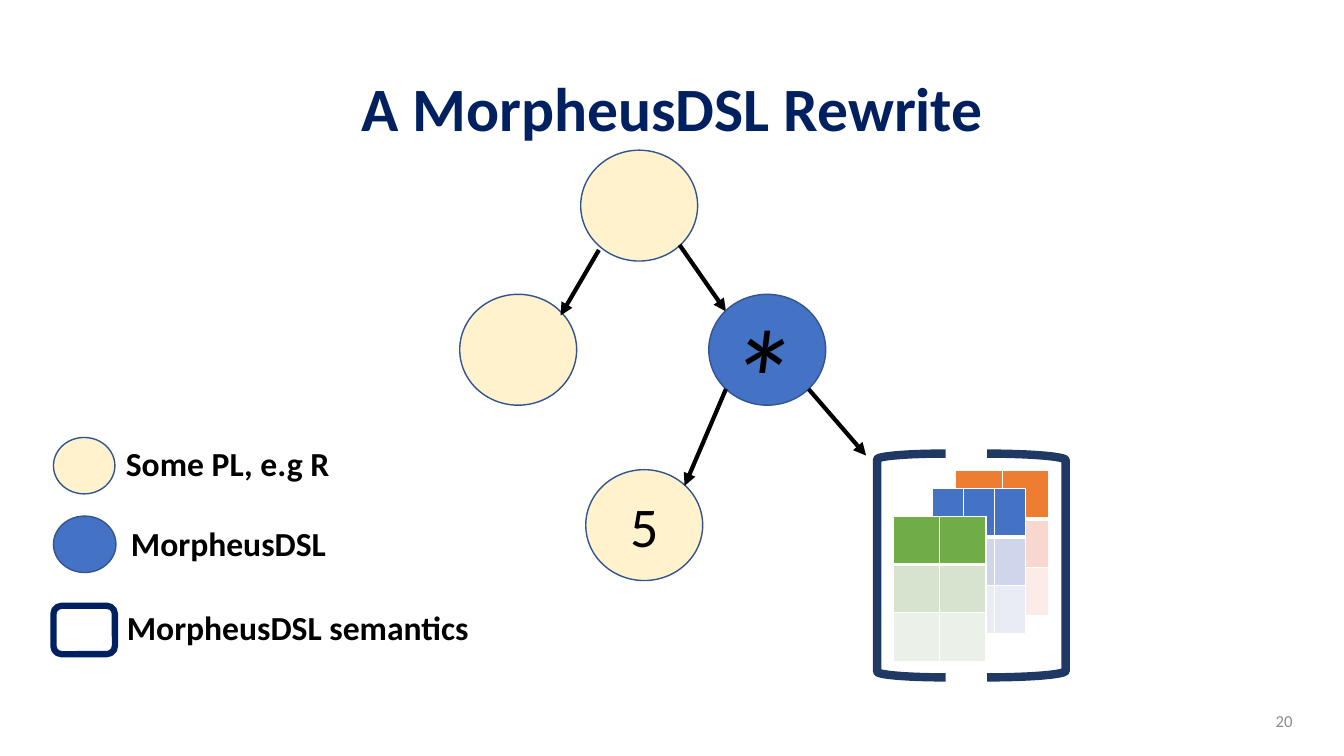
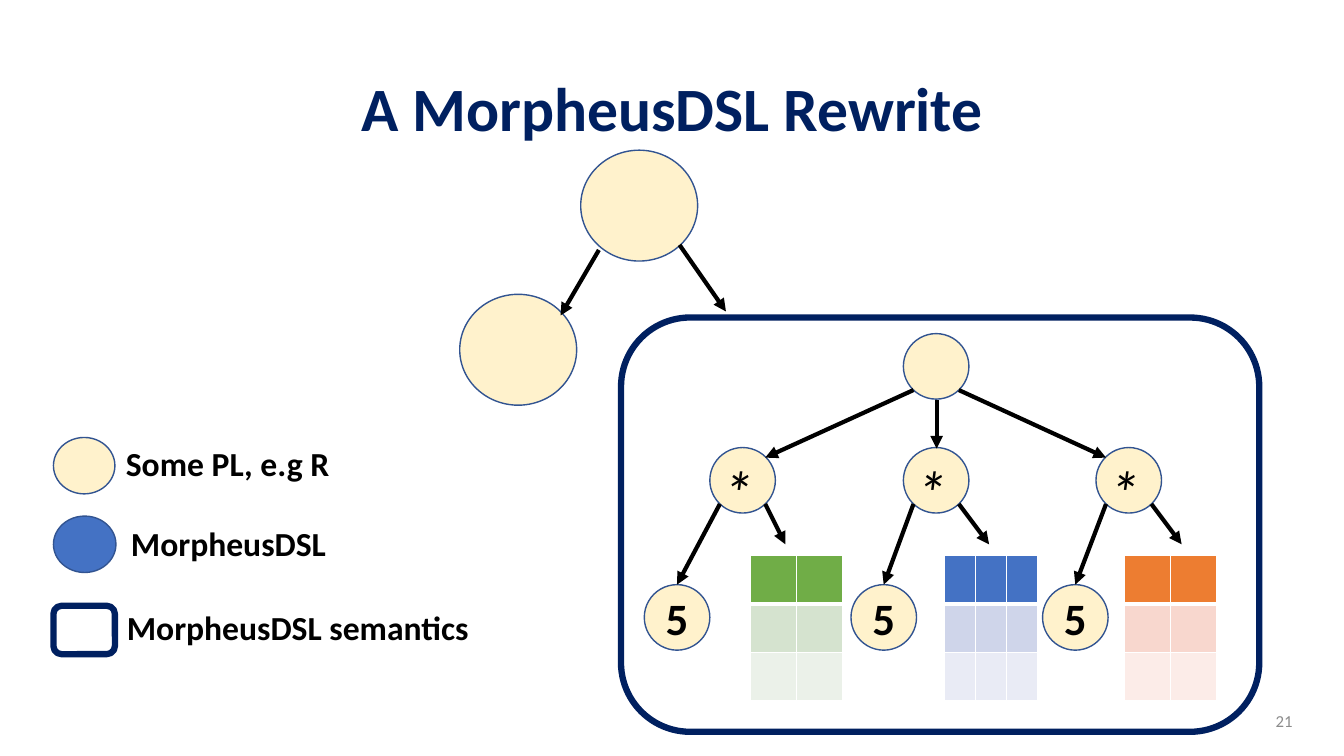
from lxml import etree
from pptx import Presentation
from pptx.dml.color import RGBColor
from pptx.enum.shapes import MSO_CONNECTOR, MSO_SHAPE
from pptx.enum.text import MSO_ANCHOR, PP_ALIGN
from pptx.oxml.ns import qn
from pptx.util import Inches, Pt

ELLIPSE = MSO_SHAPE.OVAL
ROUNDED = MSO_SHAPE.ROUNDED_RECTANGLE
BRACKET = MSO_SHAPE.LEFT_BRACKET
STRAIGHT = MSO_CONNECTOR.STRAIGHT
CENTER, LEFT, RIGHT = PP_ALIGN.CENTER, PP_ALIGN.LEFT, PP_ALIGN.RIGHT
TOP, MIDDLE = MSO_ANCHOR.TOP, MSO_ANCHOR.MIDDLE

NAVY = RGBColor(0x00, 0x20, 0x60)
BRACKET_BLUE = RGBColor(0x20, 0x38, 0x64)
OUTLINE = RGBColor(0x32, 0x54, 0x91)
CREAM = RGBColor(0xFF, 0xF2, 0xCC)
BLUE = RGBColor(0x44, 0x72, 0xC4)
BLACK = RGBColor(0x00, 0x00, 0x00)
WHITE = RGBColor(0xFF, 0xFF, 0xFF)
GRAY = RGBColor(0x8C, 0x8C, 0x8C)

# Row fills, from the header row down
GREENS = (RGBColor(0x70, 0xAD, 0x47), RGBColor(0xD5, 0xE3, 0xCF), RGBColor(0xEB, 0xF1, 0xE9))
BLUES = (BLUE, RGBColor(0xCF, 0xD5, 0xEA), RGBColor(0xE9, 0xEB, 0xF5))
ORANGES = (RGBColor(0xED, 0x7D, 0x31), RGBColor(0xF8, 0xD7, 0xCE), RGBColor(0xFC, 0xEC, 0xE8))

TITLE_FONT = {"size": Pt(44), "bold": True}
LEGEND_FONT = {"size": Pt(24), "bold": True}
NUMBER_FONT = {"size": Pt(12)}
LEAF_FONT = {"size": Pt(40)}
SMALL_LEAF_FONT = {"size": Pt(32), "bold": True}
STAR_FONT = {"size": Pt(100), "italic": True}
SMALL_STAR_FONT = {"size": Pt(44), "italic": True}
TIGHT = {"line_spacing": 0.9}
BODY = {"line_spacing": 0.9, "space_before": Pt(10)}

NODE_SIZE = (1.16, 1.1)
SMALL = 0.65
TABLE_WIDTH, ROW_HEIGHT = 0.92, 0.48
# Right of the semantics frame, so that its border never crosses the number
NUMBER_BOX = (9.92, 6.95, 3, 0.4)


def apply_format(target, values):
    """Set each named attribute of target."""
    for name, value in values.items():
        setattr(target, name, value)


def write_text(shape, text, font, color=BLACK, align=CENTER, anchor=MIDDLE, spacing=None):
    """Put one formatted paragraph into a shape."""
    apply_format(shape.text_frame, {"word_wrap": True, "vertical_anchor": anchor})
    paragraph = shape.text_frame.paragraphs[0]
    apply_format(paragraph, {"alignment": align, **(spacing or {})})
    run = paragraph.add_run()
    run.text = text
    apply_format(run.font, {"name": "Calibri", **font})
    run.font.color.rgb = color


def add_label(slide, box, text, font, **options):
    """Add a text box with one paragraph."""
    label = slide.shapes.add_textbox(*map(Inches, box))
    write_text(label, text, font, **options)


def add_outline(slide, preset, box, fill, line, width):
    """Add a preset shape; a fill of None leaves it open."""
    shape = slide.shapes.add_shape(preset, *map(Inches, box))
    shape.shadow.inherit = False
    if fill is None:
        shape.fill.background()
    else:
        shape.fill.solid()
        shape.fill.fore_color.rgb = fill
    shape.line.color.rgb = line
    shape.line.width = Pt(width)
    return shape


def add_node(slide, left, top, size=NODE_SIZE, fill=CREAM, text=None, font=None):
    """Add a round tree node, with an optional value."""
    node = add_outline(slide, ELLIPSE, (left, top, *size), fill, OUTLINE, 1)
    if text:
        write_text(node, text, font)


def add_arrow(slide, start, end):
    """Add a black arrow between two points."""
    arrow = slide.shapes.add_connector(STRAIGHT, *map(Inches, (*start, *end)))
    arrow.line.color.rgb = BLACK
    arrow.line.width = Pt(3)
    properties = arrow.element.spPr
    etree.SubElement(properties.find(qn("a:ln")), qn("a:tailEnd"), type="triangle")
    etree.SubElement(properties, qn("a:effectLst"))


def add_cell_borders(cell, bottom_width):
    """Draw white borders around a table cell."""
    properties = cell._tc.get_or_add_tcPr()
    widths = {"L": 1, "R": 1, "T": 1, "B": bottom_width}
    for side, width in widths.items():
        border = etree.SubElement(properties, qn(f"a:ln{side}"), w=str(Pt(width)))
        fill = etree.SubElement(border, qn("a:solidFill"))
        etree.SubElement(fill, qn("a:srgbClr"), val=str(WHITE))


def add_matrix(slide, left, top, columns, row_fills):
    """Add an empty table with one fill per row."""
    box = (left, top, TABLE_WIDTH, ROW_HEIGHT * len(row_fills))
    table = slide.shapes.add_table(len(row_fills), columns, *map(Inches, box)).table
    apply_format(table, {"first_row": False, "horz_banding": False})
    for column in table.columns:
        column.width = Inches(TABLE_WIDTH / columns)
    for index, (row, color) in enumerate(zip(table.rows, row_fills)):
        row.height = Inches(ROW_HEIGHT)
        for cell in row.cells:
            add_cell_borders(cell, 1 if index else 3)
            cell.fill.solid()
            cell.fill.fore_color.rgb = color


def add_semantics_frame(slide, box):
    """Add the rounded frame that stands for MorpheusDSL semantics."""
    add_outline(slide, ROUNDED, box, WHITE, NAVY, 4.5)


def add_legend(slide):
    """Add the three legend entries."""
    add_node(slide, 0.53, 4.34, (0.61, 0.56))
    add_node(slide, 0.53, 5.12, (0.62, 0.56), BLUE)
    add_semantics_frame(slide, (0.53, 6.01, 0.61, 0.48))
    entries = (
        ("Some PL, e.g R", 1.15, 4.39, 2.61),
        ("MorpheusDSL", 1.2, 5.18, 2.61),
        ("MorpheusDSL semantics", 1.16, 6.02, 4.36),
    )
    for text, left, top, width in entries:
        add_label(slide, (left, top, width, 0.74), text, LEGEND_FONT,
                  align=LEFT, anchor=TOP, spacing=BODY)


def add_base(slide, number):
    """Add the title, upper tree, legend and slide number."""
    add_label(slide, (0.92, 0.38, 11.5, 1.45), "A MorpheusDSL Rewrite", TITLE_FONT,
              color=NAVY, spacing=TIGHT)
    add_node(slide, 5.76, 1.49)
    add_node(slide, 4.56, 2.92)
    add_arrow(slide, (5.94, 2.48), (5.56, 3.13))
    add_arrow(slide, (6.74, 2.43), (7.2, 3.09))
    add_legend(slide)
    add_label(slide, NUMBER_BOX, str(number), NUMBER_FONT, color=GRAY, align=RIGHT)


def add_product(slide):
    """Add the product of 5 and the bracketed matrices."""
    add_node(slide, 7.03, 2.92, fill=BLUE)
    add_node(slide, 5.81, 4.66, text="5", font=LEAF_FONT)
    add_matrix(slide, 9.48, 4.67, 2, ORANGES)
    add_matrix(slide, 9.25, 4.85, 3, BLUES)
    add_matrix(slide, 8.86, 5.12, 2, GREENS)
    add_outline(slide, BRACKET, (8.7, 4.5, 0.68, 2.22), None, BRACKET_BLUE, 6)
    closing = add_outline(slide, BRACKET, (9.79, 4.5, 0.78, 2.22), None, BRACKET_BLUE, 6)
    closing.element.spPr.xfrm.set("flipH", "1")
    add_arrow(slide, (7.2, 3.86), (6.79, 4.82))
    add_arrow(slide, (8.02, 3.86), (8.59, 4.52))
    add_label(slide, (6.91, 3.02, 1.27, 0.85), "*", STAR_FONT, anchor=TOP, spacing=BODY)


def add_branch(slide, star_left, five_left, matrix_left, arrow_end, columns, fills):
    """Add one small product: star, 5 and its matrix."""
    add_matrix(slide, matrix_left, 5.51, columns, fills)
    add_node(slide, five_left, 5.8, (SMALL, SMALL), text="5", font=SMALL_LEAF_FONT)
    add_node(slide, star_left, 4.44, (SMALL, SMALL))
    add_label(slide, (star_left, 4.54, 0.56, 0.37), "*", SMALL_STAR_FONT,
              anchor=TOP, spacing=BODY)
    add_arrow(slide, (star_left + 0.1, 5), (five_left + SMALL / 2, 5.8))
    add_arrow(slide, (star_left + 0.55, 5), (arrow_end, 5.4))


def add_rewritten_tree(slide):
    """Add the tree that distributes the product over the matrices."""
    branches = (
        (7.04, 6.39, 7.44, 7.79, 2, GREENS),
        (8.96, 8.44, 9.37, 9.81, 3, BLUES),
        (10.87, 10.34, 11.15, 11.72, 2, ORANGES),
    )
    for branch in branches:
        add_branch(slide, *branch)
    add_node(slide, 8.96, 3.31, (SMALL, SMALL))
    add_arrow(slide, (9.06, 3.87), (7.59, 4.54))
    add_arrow(slide, (9.29, 3.97), (9.29, 4.45))
    add_arrow(slide, (9.51, 3.87), (10.97, 4.54))


def main():
    """Build both slides and save the deck."""
    deck = Presentation()
    apply_format(deck, {"slide_width": Inches(13.33), "slide_height": Inches(7.5)})
    blank = deck.slide_layouts[6]

    before = deck.slides.add_slide(blank)
    add_base(before, 20)
    add_product(before)

    after = deck.slides.add_slide(blank)
    add_semantics_frame(after, (6.16, 3.15, 6.33, 4.11))
    add_base(after, 21)
    add_rewritten_tree(after)

    deck.save("out.pptx")


main()
